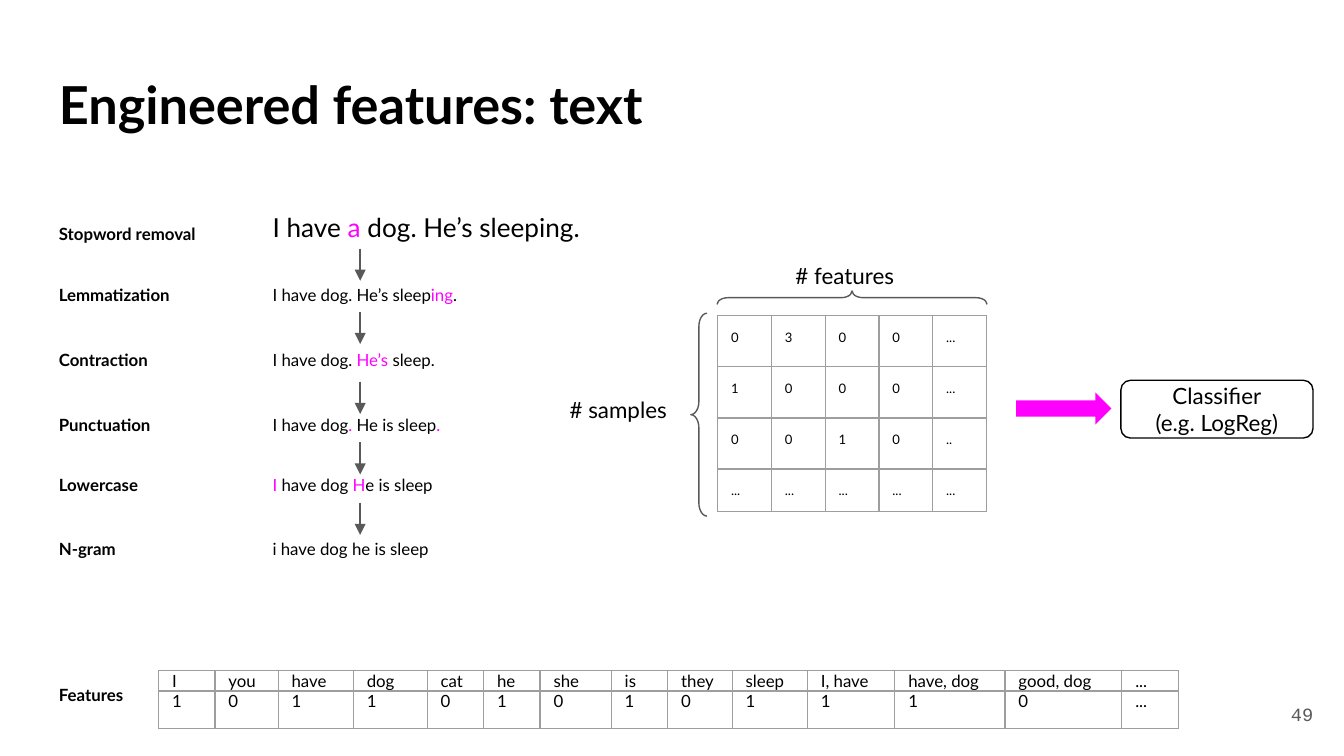
from lxml import etree
from pptx import Presentation
from pptx import util as u
from pptx.dml.color import RGBColor
from pptx.enum import shapes, text
from pptx.oxml.ns import qn

PX = 9144  # 100 px to the inch
BLACK, GREY, BORDER, PINK = "000000", "595959", "9E9E9E", "FF00FF"


def px(n):
    return u.Emu(round(n * PX))


def colour(hex_value):
    return RGBColor.from_string(hex_value)


def write(frame, content, size=9, font="Lato", color=BLACK, bold=False,
          align=None, anchor=text.MSO_ANCHOR.TOP, wrap=True):
    """Fill a text frame; parts between asterisks are highlighted."""
    frame.word_wrap = wrap
    frame.vertical_anchor = anchor
    for i, line in enumerate(content.split("\n")):
        paragraph = frame.add_paragraph() if i else frame.paragraphs[0]
        paragraph.alignment = align
        for j, part in enumerate(line.split("*")):
            if part:
                run = paragraph.add_run()
                run.text = part
                run.font.size = u.Pt(size)
                run.font.name = font
                run.font.bold = bold
                run.font.color.rgb = colour(PINK if j % 2 else color)


def label(slide, box, content, **fmt):
    frame = slide.shapes.add_textbox(*map(px, box)).text_frame
    frame.margin_left = frame.margin_right = px(10)
    frame.margin_top = frame.margin_bottom = px(10)
    write(frame, content, **fmt)


def shape(slide, kind, box, fill=None, line=None, rotation=0):
    item = slide.shapes.add_shape(kind, *map(px, box))
    item.shadow.inherit = False
    item.rotation = rotation
    if fill:
        item.fill.solid()
        item.fill.fore_color.rgb = colour(fill)
    else:
        item.fill.background()
    if line:
        item.line.color.rgb = colour(line)
        item.line.width = u.Pt(0.75)
    else:
        item.line.fill.background()
    return item


def down_arrow(slide, x, y, length):
    arrow = slide.shapes.add_connector(
        shapes.MSO_CONNECTOR.STRAIGHT, px(x), px(y), px(x), px(y + length))
    arrow.line.color.rgb = colour(GREY)
    arrow.line.width = u.Pt(0.75)
    etree.SubElement(arrow.line._get_or_add_ln(), qn("a:tailEnd"), type="triangle")
    etree.SubElement(arrow._element.spPr, qn("a:effectLst"))


def border(cell):
    properties = cell._tc.get_or_add_tcPr()
    for i, side in enumerate(("a:lnL", "a:lnR", "a:lnT", "a:lnB")):
        edge = etree.Element(qn(side), w=str(u.Pt(0.75)))
        fill = etree.SubElement(edge, qn("a:solidFill"))
        etree.SubElement(fill, qn("a:srgbClr"), val=BORDER)
        properties.insert(i, edge)


def grid(slide, left, top, widths, heights, rows, size, margin):
    table = slide.shapes.add_table(
        len(heights), len(widths), px(left), px(top),
        px(sum(widths)), px(sum(heights))).table
    table.first_row = table.horz_banding = False
    for column, width in zip(table.columns, widths):
        column.width = px(width)
    for row, height, values in zip(table.rows, heights, rows):
        row.height = px(height)
        for cell, value in zip(row.cells, values):
            cell.margin_left = cell.margin_right = px(10)
            cell.margin_top = cell.margin_bottom = px(margin)
            cell.fill.background()
            border(cell)
            write(cell.text_frame, value, size=size)


def preprocessing(slide, left, top):
    # Step name, its sentence, offset of the step, offset of the arrow below
    steps = [
        ("Stopword removal", "I have *a* dog. He’s sleeping.", 0, 26),
        ("Lemmatization", "I have dog. He’s sleep*ing*.", 45, 73),
        ("Contraction", "I have dog. *He’s* sleep.", 94, 125),
        ("Punctuation", "I have dog*.* He is sleep*.*", 142, 170),
        ("Lowercase", "*I* have dog *H*e is sleep", 187, 215),
        ("N-gram", "i have dog he is sleep", 234, None),
    ]
    for i, (step, sentence, y, arrow_y) in enumerate(steps):
        label(slide, (left, top + y, 130, 35), step, bold=True)
        if i == 0:  # the raw sentence is larger
            label(slide, (left + 159, top - 12, 272, 44), sentence, size=14)
        else:
            label(slide, (left + 159, top + y, 186, 35), sentence)
        if arrow_y is not None:
            down_arrow(slide, left + 234, top + arrow_y, 24)


def sample_matrix(slide, left, top):
    rows = [["0", "3", "0", "0", "..."], ["1", "0", "0", "0", "..."],
            ["0", "0", "1", "0", ".."], ["..."] * 5]
    grid(slide, left + 120, top + 50, [40] * 5, [38, 38, 38, 31], rows, 7, 10)
    braces = [((left + 100, top + 48, 12, 151), 180),
              ((left + 215, top - 64, 10, 201), 270)]
    for box, rotation in braces:
        brace = shape(slide, shapes.MSO_SHAPE.RIGHT_BRACE, box,
                      line=GREY, rotation=rotation)
        brace.adjustments[0] = 0.82
    label(slide, (left + 168, top, 118, 40), "# features", size=12)
    label(slide, (left, top + 100, 100, 40), "# samples", size=12)


def classifier(slide, left, top):
    shape(slide, shapes.MSO_SHAPE.RIGHT_ARROW, (left, top + 9, 71, 24), fill=PINK)
    model = shape(slide, shapes.MSO_SHAPE.ROUNDED_RECTANGLE,
                  (left + 78, top, 143, 43), line=BLACK)
    frame = model.text_frame
    frame.margin_left = frame.margin_right = px(10)
    frame.margin_top = frame.margin_bottom = px(10)
    write(frame, "Classifier\n(e.g. LogReg)", size=12,
          align=text.PP_ALIGN.CENTER, anchor=text.MSO_ANCHOR.MIDDLE)


def feature_vector(slide, left, top):
    features = [("I", "1", 42), ("you", "0", 47), ("have", "1", 56),
                ("dog", "1", 55), ("cat", "0", 42), ("he", "1", 42),
                ("she", "0", 53), ("is", "1", 42), ("they", "0", 48),
                ("sleep", "1", 56), ("I, have", "1", 65),
                ("have, dog", "1", 82), ("good, dog", "0", 87),
                ("...", "...", 42)]
    names, counts, widths = zip(*features)
    label(slide, (left, top + 3, 84, 35), "Features", bold=True)
    grid(slide, left + 84, top, widths, [15, 28], [names, counts], 9, 0)


def main():
    deck = Presentation()
    deck.slide_width = px(1000)
    deck.slide_height = deck.slide_width * 9 // 16
    slide = deck.slides.add_slide(deck.slide_layouts[6])
    # Title and page number
    label(slide, (34, 44, 524, 63), "Engineered features: text", size=28, bold=True)
    label(slide, (927, 510, 60, 43), "49", size=10, font="Courier New", color=GREY,
          align=text.PP_ALIGN.RIGHT, anchor=text.MSO_ANCHOR.MIDDLE)
    # Content, from sentence to classifier
    preprocessing(slide, 34, 159)
    feature_vector(slide, 34, 499)
    sample_matrix(slide, 414, 185)
    classifier(slide, 756, 283)
    deck.save("out.pptx")


if __name__ == "__main__":
    main()
